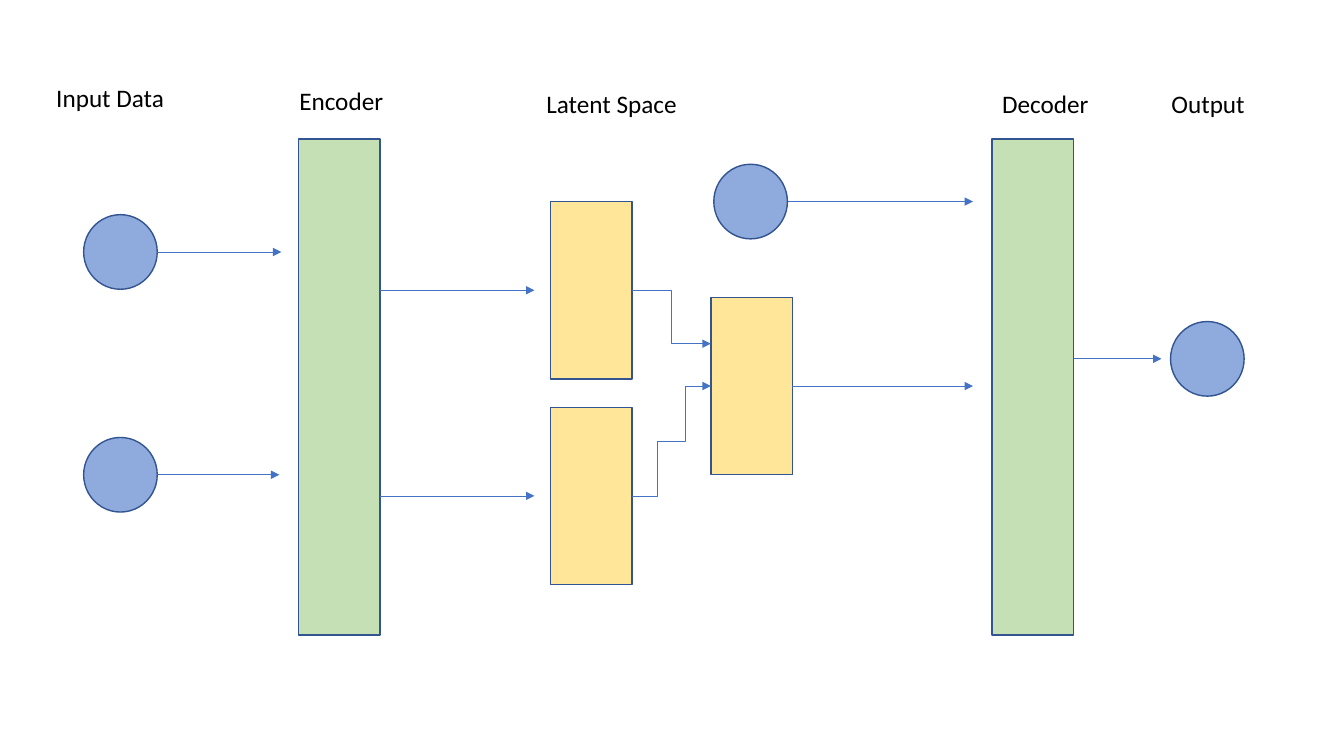
import lxml.etree
import pptx
import pptx.dml.color
import pptx.enum.shapes
import pptx.enum.text
import pptx.oxml.ns
import pptx.util

PX = 9144
FONT = "Calibri"
GREEN, YELLOW, BLUE = "C5E0B4", "FFE699", "8FAADC"
OUTLINE, ARROW, BLACK = "325491", "4472C4", "000000"
BLOCK_WIDTH, TALL, SHORT = 81, 492, 176
NODE_WIDTH, NODE_HEIGHT = 73, 74
RIGHT_SIDE = 3

SHAPES = pptx.enum.shapes.MSO_SHAPE
CONNECTORS = pptx.enum.shapes.MSO_CONNECTOR


def px(*lengths):
    return [pptx.util.Emu(length * PX) for length in lengths]


def color(target, value):
    target.rgb = pptx.dml.color.RGBColor.from_string(value)


def add_element(parent, tag, **attributes):
    return lxml.etree.SubElement(parent, pptx.oxml.ns.qn(tag), **attributes)


def add_filled(page, kind, left, top, width, height, fill):
    shape = page.shapes.add_shape(kind, *px(left, top, width, height))
    shape.shadow.inherit = False
    shape.fill.solid()
    color(shape.fill.fore_color, fill)
    color(shape.line.color, OUTLINE)
    shape.line.width = pptx.util.Pt(1)
    return shape


def add_block(page, left, top, height, fill):
    return add_filled(page, SHAPES.RECTANGLE, left, top, BLOCK_WIDTH, height, fill)


def add_node(page, left, top):
    return add_filled(page, SHAPES.FLOWCHART_CONNECTOR, left, top,
                      NODE_WIDTH, NODE_HEIGHT, BLUE)


def add_arrow(page, start, end, kind=CONNECTORS.STRAIGHT):
    arrow = page.shapes.add_connector(kind, *px(*start, *end))
    color(arrow.line.color, ARROW)
    arrow.line.width = pptx.util.Pt(0.5)
    add_element(arrow.line._get_or_add_ln(), "a:tailEnd", type="triangle")
    add_element(arrow._element.spPr, "a:effectLst")
    return arrow


def add_bends(arrow, adjustments):
    geometry = arrow._element.spPr.find(pptx.oxml.ns.qn("a:prstGeom"))
    geometry.set("prst", "bentConnector5")
    guides = geometry.find(pptx.oxml.ns.qn("a:avLst"))
    if guides is None:
        guides = add_element(geometry, "a:avLst")
    for number, value in enumerate(adjustments, 1):
        add_element(guides, "a:gd", name=f"adj{number}", fmla=f"val {value}")


def add_label(page, text, left, top, width):
    box = page.shapes.add_textbox(*px(left, top, width, 40))
    frame = box.text_frame
    frame.word_wrap = True
    frame.auto_size = pptx.enum.text.MSO_AUTO_SIZE.SHAPE_TO_FIT_TEXT
    para = frame.paragraphs[0]
    para.text = text
    para.font.name = FONT
    para.font.size = pptx.util.Pt(18)
    color(para.font.color, BLACK)


def main():
    deck = pptx.Presentation()
    deck.slide_width, deck.slide_height = px(1333, 750)
    page = deck.slides.add_slide(deck.slide_layouts[6])

    for left in (296, 984):
        add_block(page, left, 138, TALL, GREEN)
    for top in (200, 404):
        add_block(page, 546, top, SHORT, YELLOW)
    merged = add_block(page, 705, 295, SHORT, YELLOW)

    for left, top in ((83, 213), (83, 434), (708, 163), (1161, 319)):
        add_node(page, left, top)

    for left, right, middle in ((156, 279, 250), (156, 277, 471),
                                (377, 530, 288), (377, 530, 492),
                                (782, 965, 200), (1065, 1152, 356)):
        add_arrow(page, (left, middle), (right, middle))
    add_arrow(page, (786, 383), (965, 383)).begin_connect(merged, RIGHT_SIDE)

    add_arrow(page, (627, 288), (705, 341), CONNECTORS.ELBOW)
    rising = add_arrow(page, (627, 492), (705, 383), CONNECTORS.ELBOW)
    add_bends(rising, (32300, 50000, 67700))

    for text, left, top, width in (("Input Data", 46, 77, 133),
                                   ("Encoder", 287, 80, 112),
                                   ("Latent Space", 532, 83, 150),
                                   ("Decoder", 984, 83, 112),
                                   ("Output", 1152, 83, 112)):
        add_label(page, text, left, top, width)

    deck.save("out.pptx")


if __name__ == "__main__":
    main()
